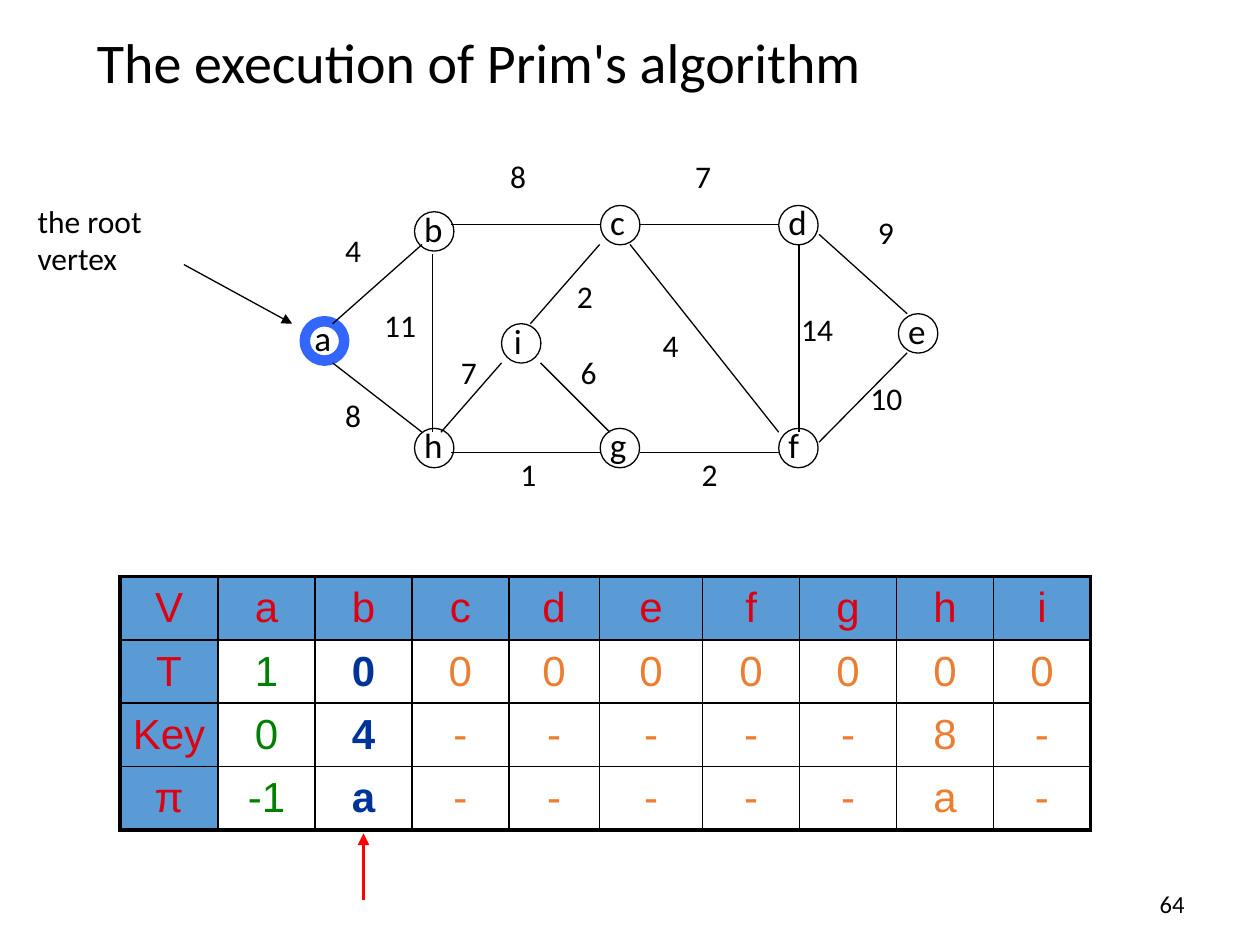
from pptx import Presentation
from pptx.dml.color import RGBColor
from pptx.enum.shapes import MSO_CONNECTOR as Conn, MSO_SHAPE as Geom
from pptx.enum.text import MSO_ANCHOR as Anchor, PP_ALIGN as Align
from pptx.oxml.ns import qn
from pptx.util import Pt
from lxml.etree import SubElement, Element

COLORS = {
    "ink": "000000", "root": "3366FF", "head": "5B9BD5", "label": "DD0111",
    "done": "008000", "next": "003399", "rest": "ED7D31", "mark": "FF0000",
}

NODES = {
    "a": (2.2, 97.6), "b": (64.9, 35), "h": (64.9, 158.8),
    "c": (171.2, 31.4), "d": (273, 31.4), "e": (341.4, 93.3),
    "f": (273, 158.8), "g": (171, 158.8), "i": (114.6, 99),
}
EDGES = [
    (18.1, 99, 69.2, 53.7), (18.1, 121.4, 69.2, 161),
    (75, 59.4, 75, 161), (85.8, 42.2, 170.7, 42.2),
    (85.8, 172.5, 170.7, 172.5), (193.8, 172.5, 273, 172.5),
    (188, 53.7, 273, 161), (193.8, 42.2, 273, 42.2),
    (284.5, 53.7, 284.5, 161), (296, 47.9, 346.4, 93.3),
    (296, 166.7, 346.4, 115.6), (136.9, 121.4, 176.5, 161),
    (80, 161, 114.6, 121.4), (131.1, 99, 170.7, 53.7),
]
WEIGHTS = [
    ("4", 18.1, 42.2), ("8", 112.4, 0.4), ("7", 218.2, 0.4),
    ("9", 322.6, 32.1), ("10", 318.3, 127.1), ("14", 278.7, 87.5),
    ("4", 199.5, 96.9), ("2", 150.6, 68.8), ("2", 221.8, 170.3),
    ("6", 152.7, 112), ("1", 118.2, 170.3), ("7", 84.3, 112),
    ("11", 40.4, 85.4), ("8", 18.1, 136.5),
]
ROWS = [
    ["V", "a", "b", "c", "d", "e", "f", "g", "h", "i"],
    ["T", "1", "0", "0", "0", "0", "0", "0", "0", "0"],
    ["Key", "0", "4", "-", "-", "-", "-", "-", "8", "-"],
    ["π", "-1", "a", "-", "-", "-", "-", "-", "a", "-"],
]
WIDTHS = [56, 55.4, 55.4, 55.4, 51.8, 59, 55.4, 55.4, 55.4, 55.4]


def color(name):
    return RGBColor.from_string(COLORS[name])


def style(frame, size, tint="ink", face="Calibri", align=Align.LEFT, bold=False):
    para = frame.paragraphs[0]
    para.alignment = align
    for run in para.runs:
        font = run.font
        font.name, font.size, font.bold = face, Pt(size), bold
        font.color.rgb = color(tint)


def add_text(shapes, text, box, size, align=Align.LEFT, anchor=Anchor.TOP):
    frame = shapes.add_textbox(*map(Pt, box)).text_frame
    frame.word_wrap = True
    frame.vertical_anchor = anchor
    frame.text = text
    style(frame, size, align=align)


def add_line(shapes, ends, tint="ink", width=0.75, arrow=False):
    line = shapes.add_connector(Conn.STRAIGHT, *map(Pt, ends))
    line.line.color.rgb = color(tint)
    line.line.width = Pt(width)
    if arrow:
        SubElement(line.line._get_or_add_ln(), qn("a:tailEnd"), type="triangle")
    SubElement(line._element.spPr, qn("a:effectLst"))


def add_title(slide, box):
    title = slide.shapes.title
    title.left, title.top, title.width, title.height = map(Pt, box)
    frame = title.text_frame
    frame.text = "The execution of Prim's algorithm"
    frame.vertical_anchor = Anchor.TOP
    style(frame, 32)


def add_node(shapes, name, x, y):
    add_text(shapes, name, (x if name == "i" else x - 1.6, y - 6.2, 26, 31), 20)
    ring = shapes.add_shape(Geom.OVAL, Pt(x), Pt(y), Pt(22.5), Pt(22.5))
    ring.shadow.inherit = False
    ring.fill.background()
    root = name == "a"
    ring.line.color.rgb = color("root" if root else "ink")
    ring.line.width = Pt(6 if root else 0.75)


def add_graph(slide, left, top):
    shapes = slide.shapes.add_group_shape().shapes
    for name, (x, y) in NODES.items():
        add_node(shapes, name, left + x, top + y)
    for x1, y1, x2, y2 in EDGES:
        add_line(shapes, (left + x1, top + y1, left + x2, top + y2))
    for text, x, y in WEIGHTS:
        add_text(shapes, text, (left + x, top + y, 17 + 10 * len(text), 36), 18)


def add_root(slide, left, top):
    add_text(slide.shapes, "the root vertex", (left, top, 96.5, 65), 18)
    add_line(slide.shapes, (left + 90.7, top + 39.6, left + 152.6, top + 73.4), arrow=True)


def add_borders(cell, row, col):
    thick = {"L": col == 0, "R": col == len(WIDTHS) - 1,
             "T": row == 0, "B": row == len(ROWS) - 1}
    props = cell._tc.get_or_add_tcPr()
    for spot, (side, outer) in enumerate(thick.items()):
        line = Element(qn("a:ln" + side), w=str(Pt(2.25 if outer else 1)))
        fill = SubElement(line, qn("a:solidFill"))
        SubElement(fill, qn("a:srgbClr"), val=COLORS["ink"])
        props.insert(spot, line)


def fill_cell(cell, text, row, col):
    head = row == 0 or col == 0
    if head:
        cell.fill.solid()
        cell.fill.fore_color.rgb = color("head")
    else:
        cell.fill.background()
    cell.margin_left = cell.margin_right = Pt(3.6)
    cell.vertical_anchor = Anchor.MIDDLE
    cell.text_frame.text = text
    tint = "label" if head else {1: "done", 2: "next"}.get(col, "rest")
    style(cell.text_frame, 24, tint, "Arial", Align.CENTER, tint == "next")
    add_borders(cell, row, col)


def add_grid(slide, left, top):
    high = 36.2
    grid = slide.shapes.add_table(
        len(ROWS), len(WIDTHS), Pt(left), Pt(top),
        Pt(sum(WIDTHS)), Pt(high * len(ROWS))).table
    for col, width in enumerate(WIDTHS):
        grid.columns[col].width = Pt(width)
    for row, texts in enumerate(ROWS):
        grid.rows[row].height = Pt(high)
        for col, text in enumerate(texts):
            fill_cell(grid.cell(row, col), text, row, col)
    mid = left + sum(WIDTHS[:2]) + WIDTHS[2] / 2
    base = top + high * len(ROWS)
    add_line(slide.shapes, (mid, base + 40.2, mid, base + 2), "mark", 2.25, True)


def main():
    deck = Presentation()
    deck.slide_width, deck.slide_height = Pt(720), Pt(540)
    slide = deck.slides.add_slide(deck.slide_layouts[5])
    add_title(slide, (48.2, 12.2, 617.8, 46))
    add_text(slide.shapes, "64", (516.2, 504, 167.8, 25.2), 14, Align.RIGHT, Anchor.MIDDLE)
    add_graph(slide, 172, 86)
    add_root(slide, 14.4, 111.6)
    add_grid(slide, 68.6, 329.4)
    deck.save("out.pptx")


if __name__ == "__main__":
    main()
